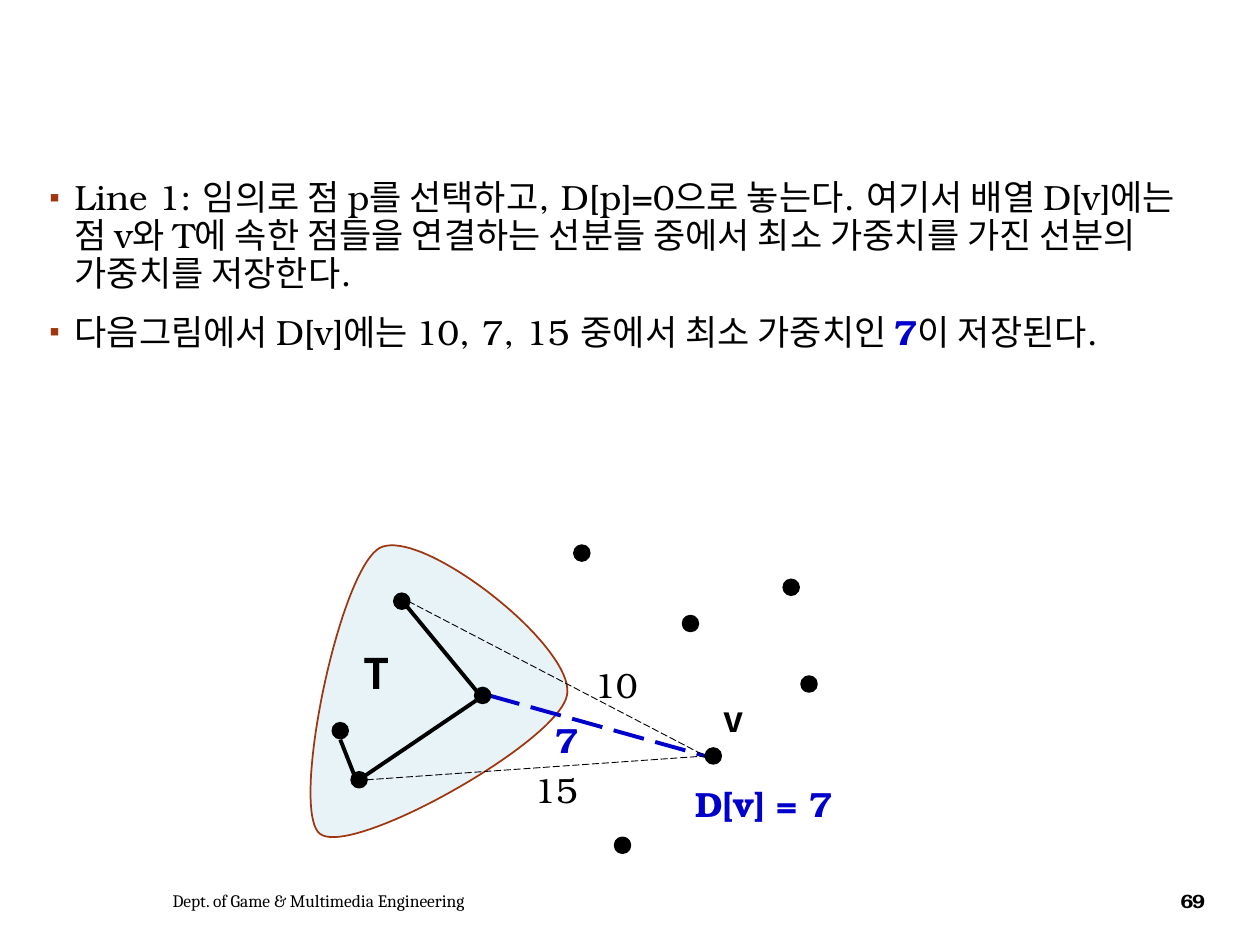
"""Build the slide on step one of the minimum spanning tree method."""
from typing import NamedTuple

from lxml import etree
from pptx import Presentation
from pptx.dml.color import RGBColor
from pptx.enum import dml, shapes, text
from pptx.oxml import ns
from pptx.util import Cm, Pt

SERIF, SANS = "TeX Gyre Bonum", "Noto Sans CJK KR"
BLACK, BLUE, RUST, PALE = "000000", "0000CC", "9E3611", "DBEEF4"
DOT = 0.3


class Edge(NamedTuple):
    """A line between two points in cm."""
    x1: float
    y1: float
    x2: float
    y2: float
    wide: float = 2.25
    color: str = BLACK
    dash: bool = False


class Label(NamedTuple):
    """A short text with its box in cm."""
    words: str
    x: float
    y: float
    w: float
    h: float = 1.12
    size: float = 20
    font: str = SERIF
    color: str = BLACK
    bold: bool = True
    center: bool = False
    middle: bool = False
    gap: float = 0


DOTS = [(8.1, 12.12), (9.73, 14.02), (7.24, 15.72), (14.38, 15.24), (11.73, 11.15),
        (6.86, 14.73), (13.92, 12.57), (15.95, 11.84), (16.31, 13.79), (12.55, 17.04)]
EDGES = [
    Edge(8.2, 12.22, 9.6, 13.92),
    Edge(9.6, 14.12, 7.34, 15.65),
    Edge(6.86, 14.91, 7.14, 15.62),
    Edge(9.86, 14.02, 14.22, 15.24, color=BLUE, dash=True),
    Edge(7.39, 15.72, 14.22, 15.24, 0.5, dash=True),
    Edge(8.23, 12.12, 14.22, 15.24, 0.5, dash=True),
]
LABELS = [
    Label("T", 6.48, 12.93, 2.21, 1.27, 24, SANS, center=True),
    Label("10", 11.73, 13.26, 1.6, bold=False),
    Label("15", 10.52, 15.37, 1.6, bold=False),
    Label("7", 10.95, 14.35, 1.6, color=BLUE),
    Label("D[v] = 7", 13.77, 15.65, 3.58, color=BLUE),
    Label("v", 14.33, 13.94, 0.89, font=SANS),
    Label("Dept. of Game & Multimedia Engineering", 3.23, 17.65, 11.66, 1.02, 10,
          "Cambria", bold=False, middle=True),
    Label("69", 23.37, 17.65, 1.35, 1.02, 11, center=True, middle=True, gap=-0.7),
]
START = (6.45, 16.81)
CURVES = [
    ((5.84, 16.33), (6.83, 11.53), (7.65, 11.05)),
    ((8.48, 10.59), (11.63, 13.06), (11.43, 14.02)),
    ((11.25, 14.96), (7.09, 17.3), START),
]
BODY = [
    [("Line 1: 임의로 점 p를 선택하고, D[p]=0으로 놓는다. 여기서 배열 D[v]에는 점 v와 T에 속한 "
      "점들을 연결하는 선분들 중에서 최소 가중치를 가진 선분의 가중치를 저장한다.", False)],
    [("다음그림에서 D[v]에는 10, 7, 15 중에서 최소 가중치인 ", False), ("7", True),
     ("이 저장된다.", False)],
]


def paint(form, color: str) -> None:
    """Set a solid colour on a fill."""
    form.solid()
    form.fore_color.rgb = RGBColor.from_string(color)


def write(para, words: str, *, size: float = 20, font: str = SERIF,
          color: str = BLACK, bold: bool = False, gap: float = 0) -> None:
    """Add a formatted run to a paragraph."""
    run = para.add_run()
    run.text = words
    run.font.size, run.font.name, run.font.bold = Pt(size), font, bold
    paint(run.font.fill, color)
    props = run.font._element
    etree.SubElement(props, ns.qn("a:ea"), typeface=SANS)
    if gap:
        props.set("spc", str(round(gap * 100)))


def bullet(para) -> None:
    """Give a paragraph a small square bullet and a hanging indent."""
    props = para._p.get_or_add_pPr()
    props.set("marL", str(Cm(0.51)))
    props.set("indent", str(-Cm(0.51)))
    tint = etree.SubElement(props, ns.qn("a:buClr"))
    etree.SubElement(tint, ns.qn("a:srgbClr"), val=RUST)
    etree.SubElement(props, ns.qn("a:buSzPct"), val="85000")
    etree.SubElement(props, ns.qn("a:buChar"), char="▪")


def fill_body(body) -> None:
    """Place the body and write its bullets."""
    body.left, body.top, body.width, body.height = Cm(0.74), Cm(3.51), Cm(23.95), Cm(13.64)
    frame = body.text_frame
    frame.auto_size = text.MSO_AUTO_SIZE.NONE
    for i, runs in enumerate(BODY):
        para = frame.add_paragraph() if i else frame.paragraphs[0]
        bullet(para)
        para.line_spacing = 0.9
        para.space_before = Pt(12 if i else 0)
        for words, key in runs:
            write(para, words, color=BLUE if key else BLACK, bold=key)


def bend(a: tuple, b: tuple, c: tuple, d: tuple, steps: int = 40) -> list:
    """Return points along a cubic curve."""
    marks = [i / steps for i in range(1, steps + 1)]
    return [tuple(Cm((1 - t) ** 3 * p + 3 * (1 - t) ** 2 * t * q
                     + 3 * (1 - t) * t ** 2 * r + t ** 3 * s)
                  for p, q, r, s in zip(a, b, c, d)) for t in marks]


def draw_tree(slide) -> None:
    """Draw the rounded region around tree T."""
    pen = slide.shapes.build_freeform(Cm(START[0]), Cm(START[1]))
    last = START
    for curve in CURVES:
        pen.add_line_segments(bend(last, *curve), close=False)
        last = curve[-1]
    pen.add_line_segments([], close=True)
    area = pen.convert_to_shape()
    area.shadow.inherit = False
    paint(area.fill, PALE)
    tint = area._element.spPr.find(ns.qn("a:solidFill"))[0]
    etree.SubElement(tint, ns.qn("a:alpha"), val="66000")
    paint(area.line.fill, RUST)
    area.line.width = Pt(1)


def draw_edge(slide, edge: Edge) -> None:
    """Draw one edge of the graph."""
    line = slide.shapes.add_connector(shapes.MSO_CONNECTOR.STRAIGHT, Cm(edge.x1),
                                      Cm(edge.y1), Cm(edge.x2), Cm(edge.y2))
    paint(line.line.fill, edge.color)
    line.line.width = Pt(edge.wide)
    if edge.dash:
        line.line.dash_style = dml.MSO_LINE.LONG_DASH
    etree.SubElement(line._element.spPr, ns.qn("a:effectLst"))


def draw_dot(slide, x: float, y: float) -> None:
    """Draw one vertex by its centre."""
    dot = slide.shapes.add_shape(shapes.MSO_SHAPE.OVAL, Cm(x - DOT / 2), Cm(y - DOT / 2),
                                 Cm(DOT), Cm(DOT))
    dot.shadow.inherit = False
    paint(dot.fill, BLACK)
    paint(dot.line.fill, BLACK)
    dot.line.width = Pt(1.5)


def draw_label(slide, tag: Label) -> None:
    """Draw one label."""
    box = slide.shapes.add_textbox(Cm(tag.x), Cm(tag.y), Cm(tag.w), Cm(tag.h))
    frame = box.text_frame
    frame.word_wrap = True
    if tag.middle:
        frame.vertical_anchor = text.MSO_ANCHOR.MIDDLE
    para = frame.paragraphs[0]
    if tag.center:
        para.alignment = text.PP_ALIGN.CENTER
    write(para, tag.words, size=tag.size, font=tag.font, color=tag.color,
          bold=tag.bold, gap=tag.gap)


def main() -> None:
    """Build and save the slide."""
    deck = Presentation()
    deck.slide_width, deck.slide_height = Cm(25.4), Cm(19.05)
    slide = deck.slides.add_slide(deck.slide_layouts[1])
    title = slide.shapes.title._element
    title.getparent().remove(title)
    fill_body(slide.placeholders[1])
    draw_tree(slide)
    for edge in EDGES:
        draw_edge(slide, edge)
    for x, y in DOTS:
        draw_dot(slide, x, y)
    for tag in LABELS:
        draw_label(slide, tag)
    deck.save("out.pptx")


if __name__ == "__main__":
    main()
